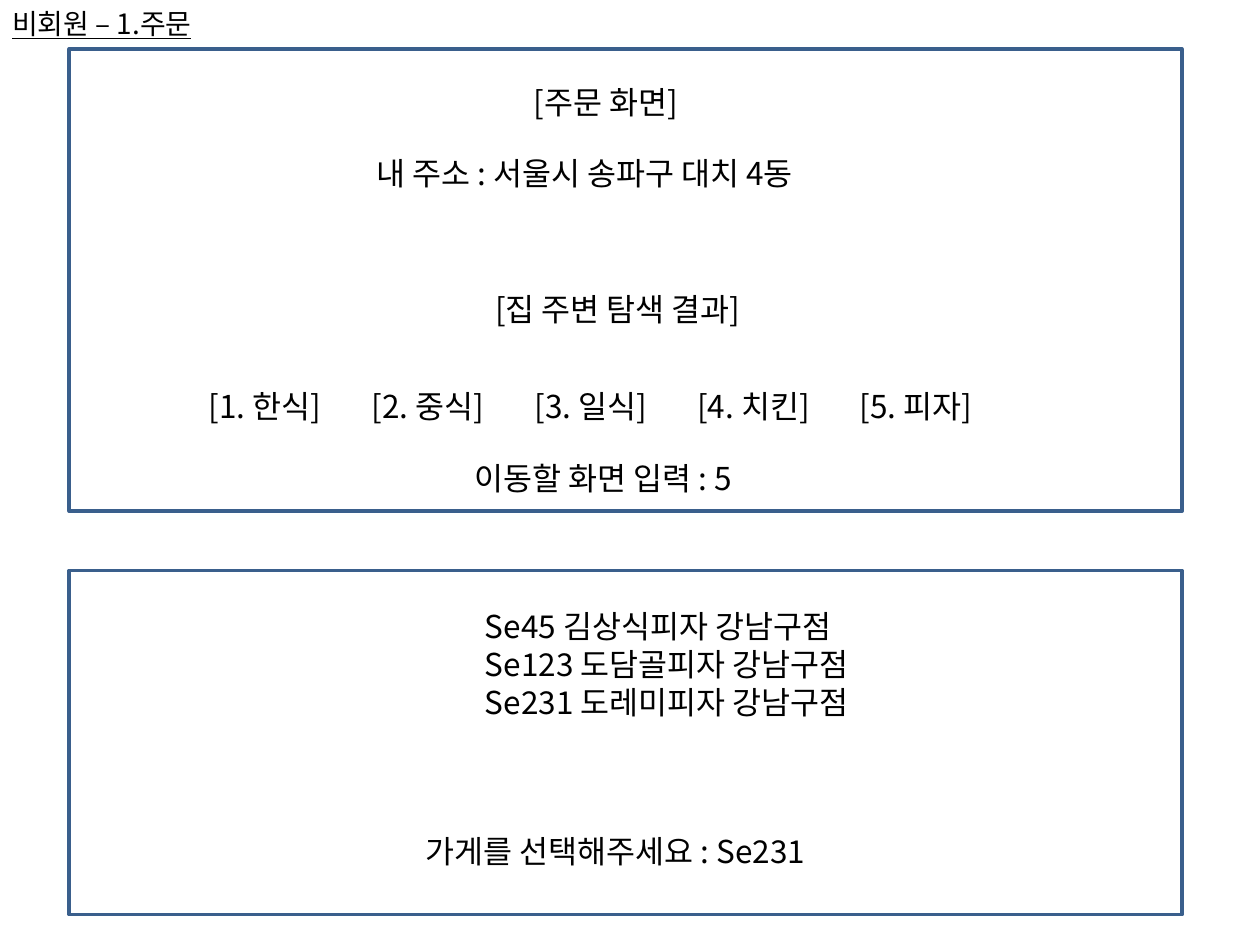
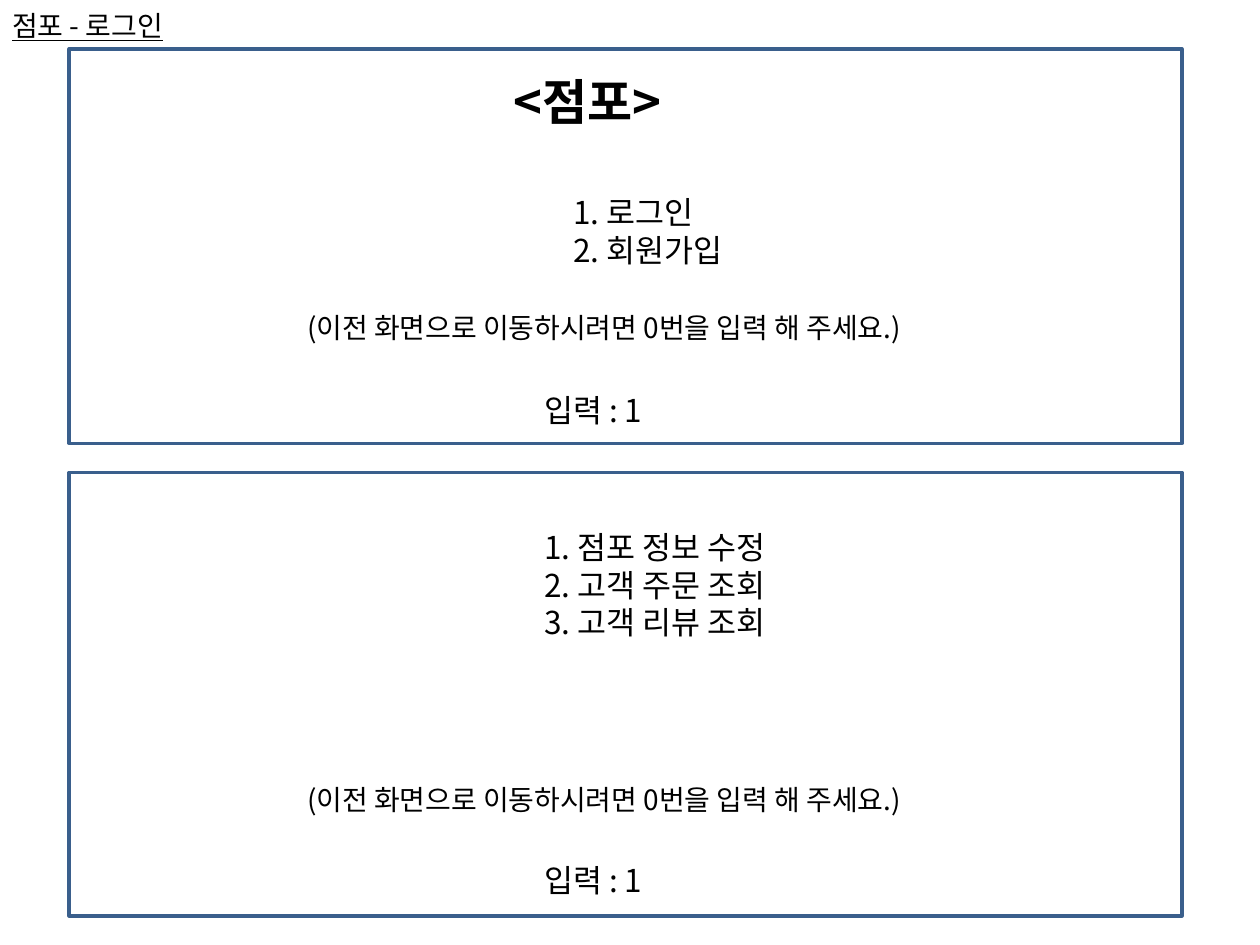
from lxml.etree import SubElement
from pptx import Presentation
from pptx.dml.color import RGBColor
from pptx.enum.shapes import MSO_SHAPE
from pptx.enum.text import MSO_AUTO_SIZE
from pptx.oxml.ns import qn
from pptx.util import Pt

FONT, INK, FRAME = "Noto Sans CJK KR", "000000", "3A5F8C"
FRAME_LEFT, FRAME_WIDTH = 39.6, 635.8
LIST_INDENT, MENU_PITCH = 242, 93

# Each style: font size, then the font attributes that differ from plain.
STYLES = {
    "title": {"size": Pt(16), "underline": True},
    "heading": {"size": Pt(28), "bold": True},
    "body": {"size": Pt(18)},
    "list": {"size": Pt(18)},
    "menu": {"size": Pt(18)},
    "hint": {"size": Pt(16)},
}
HEIGHTS = {"title": 26.6, "heading": 41.2, "hint": 26.6}
LINE_HEIGHT, PADDING = 21.8, 7.2

BACK_HINT = ["(이전 화면으로 이동하시려면 0번을 입력 해 주세요.)"]
MENU = ["한식", "중식", "일식", "치킨", "피자"]

# frames: top, height; texts: style, left, top, width, lines
SLIDES = [
    {
        "frames": [(28, 264.2), (326, 196.7)],
        "texts": [
            ("title", 0, 0, 191.5, ["비회원 – 1.주문"]),
            ("body", 298, 43.9, 225.4, ["[주문 화면]"]),
            ("body", 208, 84.3, 438.5, ["내 주소 : 서울시 송파구 대치 4동"]),
            ("body", 275.8, 162, 438.5, ["[집 주변 탐색 결과]"]),
            ("menu", 112.3, 217.5, 506.2,
             ["\t".join(f"[{n}. {name}]" for n, name in enumerate(MENU, 1))]),
            ("body", 264.2, 258.5, 185.8, ["이동할 화면 입력 : 5"]),
            ("list", 28, 343.5, 534.2,
             ["Se45 김상식피자 강남구점",
              "Se123 도담골피자 강남구점",
              "Se231 도레미피자 강남구점"]),
            ("body", 236.2, 471.6, 286.6, ["가게를 선택해주세요 : Se231"]),
        ],
    },
    {
        "frames": [(28, 225.4), (270, 253.4)],
        "texts": [
            ("title", 0, 1.4, 208, ["점포 - 로그인"]),
            ("heading", 286.6, 37.4, 118, ["<점포>"]),
            ("list", 78.5, 106.6, 534.2, ["1. 로그인", "2. 회원가입"]),
            ("hint", 168.5, 174.2, 427.7, BACK_HINT),
            ("body", 303.8, 219.6, 185.8, ["입력 : 1"]),
            ("list", 61.9, 298, 534.2,
             ["1. 점포 정보 수정", "2. 고객 주문 조회", "3. 고객 리뷰 조회"]),
            ("hint", 168.5, 443.5, 427.7, BACK_HINT),
            ("body", 303.8, 488.2, 185.8, ["입력 : 1"]),
        ],
    },
]


def color(value):
    """Turn a hex string into a colour."""
    return RGBColor.from_string(value)


def add_frame(s, top, height):
    """Draw one outlined screen frame."""
    sp = s.shapes.add_shape(MSO_SHAPE.RECTANGLE, Pt(FRAME_LEFT), Pt(top),
                            Pt(FRAME_WIDTH), Pt(height))
    sp.shadow.inherit = False
    sp.fill.background()
    sp.line.color.rgb = color(FRAME)
    sp.line.width = Pt(2)


def indent(p, style):
    """Indent a list line, or set even tab stops for the menu."""
    pPr = p._p.get_or_add_pPr()
    if style == "list":
        pPr.set("marL", str(Pt(LIST_INDENT)))
    elif style == "menu":
        tabs = SubElement(pPr, qn("a:tabLst"))
        for i in range(1, len(MENU)):
            SubElement(tabs, qn("a:tab"), pos=str(Pt(i * MENU_PITCH)), algn="l")


def add_text(s, style, left, top, width, lines):
    """Place a text box with one paragraph per line."""
    height = HEIGHTS.get(style, PADDING + LINE_HEIGHT * len(lines))
    sp = s.shapes.add_textbox(Pt(left), Pt(top), Pt(width), Pt(height))
    tf = sp.text_frame
    tf.word_wrap = True
    tf.auto_size = MSO_AUTO_SIZE.SHAPE_TO_FIT_TEXT
    for i, line in enumerate(lines):
        p = tf.add_paragraph() if i else tf.paragraphs[0]
        indent(p, style)
        r = p.add_run()
        r.text = line
        for name, value in {"name": FONT, **STYLES[style]}.items():
            setattr(r.font, name, value)
        r.font.color.rgb = color(INK)
        SubElement(r._r.get_or_add_rPr(), qn("a:ea"), typeface=FONT)


def build():
    """Build all slides and save the file."""
    prs = Presentation()
    prs.slide_width, prs.slide_height = Pt(720), Pt(540)
    for content in SLIDES:
        s = prs.slides.add_slide(prs.slide_layouts[6])
        for frame in content["frames"]:
            add_frame(s, *frame)
        for text in content["texts"]:
            add_text(s, *text)
    prs.save("out.pptx")


build()
